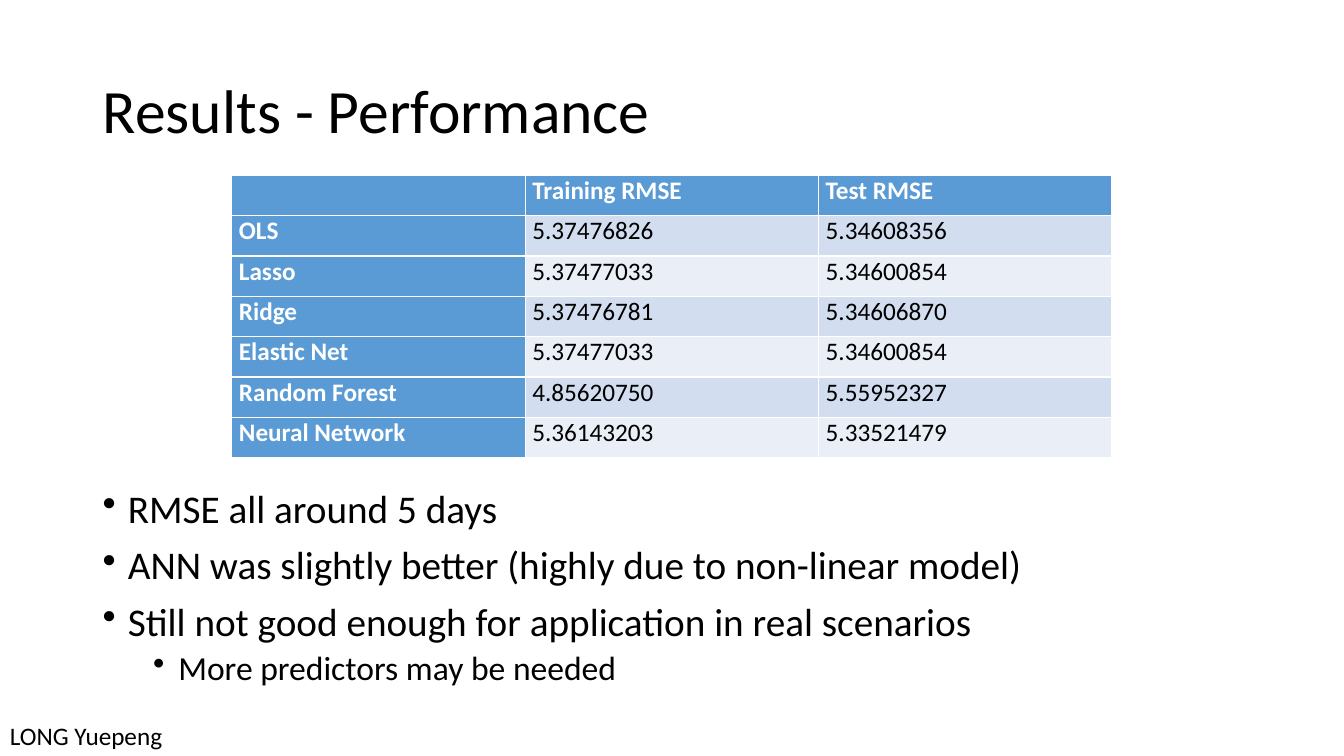
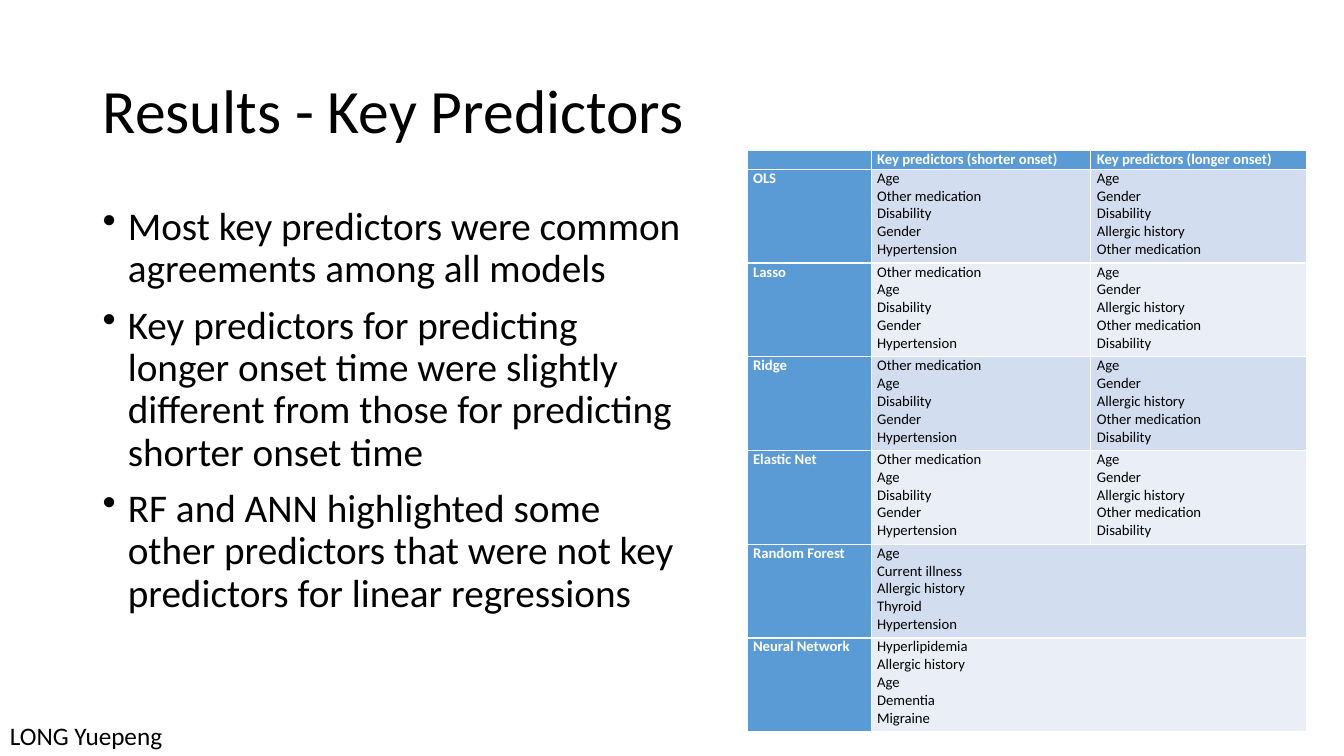
"""Build two slides on model results: performance and key predictors."""
from dataclasses import dataclass

from lxml.etree import SubElement
from pptx import Presentation
from pptx.dml.color import RGBColor
from pptx.enum.text import MSO_ANCHOR, MSO_AUTO_SIZE, PP_ALIGN
from pptx.oxml.ns import qn
from pptx.util import Pt

SCALE = 9144


@dataclass(frozen=True)
class Theme:
    font: str = "Calibri"
    ink: str = "000000"
    paper: str = "FFFFFF"
    head: str = "5B9BD5"
    bands: tuple = ("D2DEEF", "EAEFF7")
    title: float = 44
    levels: tuple = (28, 24)
    gaps: tuple = (10, 5)
    note: float = 18


def px(*sizes):
    return [size * SCALE for size in sizes]


class Deck:
    def __init__(self, theme):
        self.theme = theme
        self.prs = Presentation()
        self.prs.slide_width, self.prs.slide_height = px(1333, 750)
        self.slide = None

    def style(self, para, size, color=None, bold=False):
        font = para.font
        font.name, font.size, font.bold = self.theme.font, Pt(size), bold
        font.color.rgb = RGBColor.from_string(color or self.theme.ink)

    def page(self, title, footer):
        self.slide = self.prs.slides.add_slide(self.prs.slide_layouts[5])
        shape = self.slide.shapes.title
        shape.left, shape.top, shape.width, shape.height = px(92, 40, 1150, 145)
        frame = shape.text_frame
        frame.text = title
        frame.word_wrap = True
        frame.auto_size = MSO_AUTO_SIZE.NONE
        frame.vertical_anchor = MSO_ANCHOR.MIDDLE
        para = frame.paragraphs[0]
        para.alignment, para.line_spacing = PP_ALIGN.LEFT, 0.9
        self.style(para, self.theme.title)
        self.note(footer)

    def note(self, text):
        frame = self.slide.shapes.add_textbox(*px(0, 710, 197, 40)).text_frame
        frame.text = text
        frame.word_wrap = False
        self.style(frame.paragraphs[0], self.theme.note)

    def bullets(self, box, items):
        frame = self.slide.shapes.add_textbox(*px(*box)).text_frame
        frame.word_wrap = True
        for index, (level, text) in enumerate(items):
            para = frame.add_paragraph() if index else frame.paragraphs[0]
            para.text, para.level = text, level
            para.line_spacing = 0.9
            para.space_before = Pt(self.theme.gaps[level])
            self.style(para, self.theme.levels[level])
            props = para._p.get_or_add_pPr()
            indent, hang = px(25 + 50 * level, -25)
            props.set("marL", str(indent))
            props.set("indent", str(hang))
            mark = SubElement(props, qn("a:buChar"))
            mark.set("char", "•")
            props.insert_element_before(mark, "a:defRPr")

    def table(self, spot, cols, heights, rows, size, inset):
        box = px(*spot, sum(cols), sum(heights))
        table = self.slide.shapes.add_table(len(rows), len(cols), *box).table
        table.first_col = True
        for col, width in zip(table.columns, px(*cols)):
            col.width = width
        for row, height in zip(table.rows, px(*heights)):
            row.height = height
        for r, texts in enumerate(rows):
            for c in range(len(cols)):
                text = texts[c] if c < len(texts) else ""
                self.cell(table.cell(r, c), text, r, c, size, inset)
            if len(texts) < len(cols):
                last = table.cell(r, len(cols) - 1)
                table.cell(r, len(texts) - 1).merge(last)

    def cell(self, cell, text, row, col, size, inset):
        head = row == 0 or col == 0
        fill = self.theme.head if head else self.theme.bands[(row - 1) % 2]
        cell.fill.solid()
        cell.fill.fore_color.rgb = RGBColor.from_string(fill)
        cell.margin_left, cell.margin_right = px(inset, inset)
        cell.margin_top = cell.margin_bottom = 0
        para = cell.text_frame.paragraphs[0]
        para.text = text.replace("\n", "\v")
        self.style(para, size, self.theme.paper if head else self.theme.ink, head)


FOOTER = "LONG Yuepeng"

SCORES = [
    ("", "Training RMSE", "Test RMSE"),
    ("OLS", "5.37476826", "5.34608356"),
    ("Lasso", "5.37477033", "5.34600854"),
    ("Ridge", "5.37476781", "5.34606870"),
    ("Elastic Net", "5.37477033", "5.34600854"),
    ("Random Forest", "4.85620750", "5.55952327"),
    ("Neural Network", "5.36143203", "5.33521479"),
]

SHORT = "Other medication\nAge\nDisability\nGender\nHypertension"
LONG = "Age\nGender\nAllergic history\nOther medication\nDisability"
FACTORS = [
    ("", "Key predictors (shorter onset)", "Key predictors (longer onset)"),
    ("OLS", "Age\nOther medication\nDisability\nGender\nHypertension",
     "Age\nGender\nDisability\nAllergic history\nOther medication"),
    *((name, SHORT, LONG) for name in ("Lasso", "Ridge", "Elastic Net")),
    ("Random Forest",
     "Age\nCurrent illness\nAllergic history\nThyroid\nHypertension"),
    ("Neural Network",
     "Hyperlipidemia\nAllergic history\nAge\nDementia\nMigraine"),
]


def main():
    deck = Deck(Theme())

    deck.page("Results - Performance", FOOTER)
    deck.bullets((92, 481, 1101, 236), [
        (0, "RMSE all around 5 days"),
        (0, "ANN was slightly better (highly due to non-linear model)"),
        (0, "Still not good enough for application in real scenarios"),
        (1, "More predictors may be needed"),
    ])
    deck.table((230, 174), [291] * 3, [40] * 7, SCORES, 18, 7)

    deck.page("Results - Key Predictors", FOOTER)
    deck.table((741, 149), [123, 218, 214], [19] + [93] * 6, FACTORS, 10.5, 6)
    deck.bullets((92, 200, 600, 476), [
        (0, "Most key predictors were common agreements among all models"),
        (0, "Key predictors for predicting longer onset time were slightly "
            "different from those for predicting shorter onset time"),
        (0, "RF and ANN highlighted some other predictors that were not key "
            "predictors for linear regressions"),
    ])

    deck.prs.save("out.pptx")


if __name__ == "__main__":
    main()
